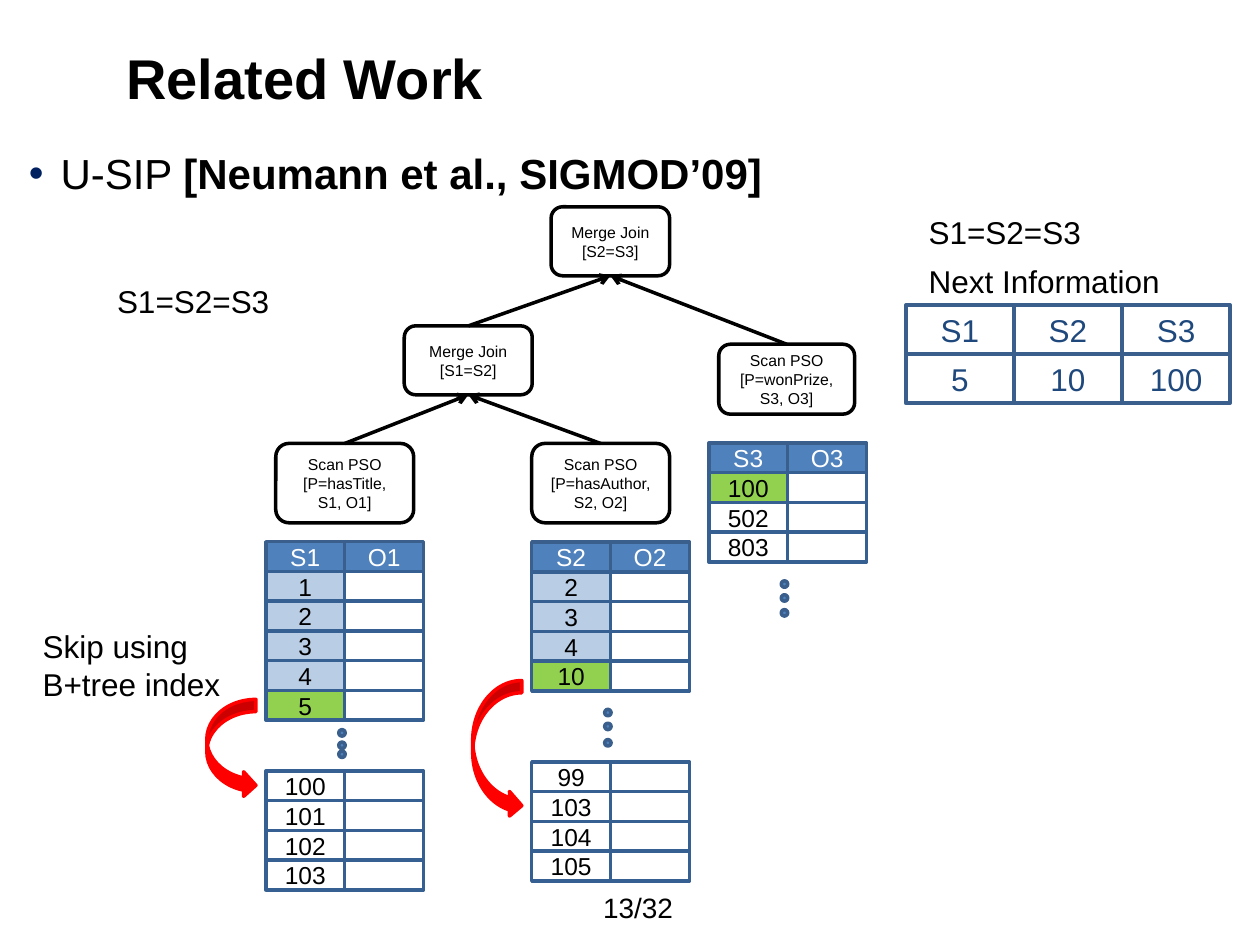
import pptx
import pptx.dml.color
import pptx.enum.shapes
import pptx.enum.text
import pptx.oxml.ns
import pptx.util
from lxml import etree

Cm = pptx.util.Cm
Pt = pptx.util.Pt
SHAPE = pptx.enum.shapes.MSO_SHAPE
ALIGN = pptx.enum.text.PP_ALIGN
ANCHOR = pptx.enum.text.MSO_ANCHOR
qn = pptx.oxml.ns.qn

COLORS = {
    "text": "000000",
    "white": "FFFFFF",
    "bullet": "002060",
    "header": "4F81BD",
    "header_line": "3A5F8C",
    "cell_line": "376092",
    "info_text": "1F497D",
    "scanned": "B9CDE5",
    "current": "92D050",
    "skip": "FF0000",
}


def rgb(name):
    return pptx.dml.color.RGBColor.from_string(COLORS[name])


class SlideBuilder:
    font = "Arial"
    line_width = Pt(2)

    def __init__(self, s):
        self.s = s

    def run(self, p, text, size, color="text", bold=False):
        r = p.add_run()
        r.text = text
        r.font.name = self.font
        r.font.size = Pt(size)
        r.font.bold = bold
        r.font.color.rgb = rgb(color)

    def place(self, sp, left, top, width, height):
        sp.left, sp.top = Cm(left), Cm(top)
        sp.width, sp.height = Cm(width), Cm(height)

    def no_margins(self, tf):
        tf.margin_left = tf.margin_right = tf.margin_top = tf.margin_bottom = 0

    def title(self, text, box):
        sp = self.s.shapes.title
        self.place(sp, *box)
        tf = sp.text_frame
        tf.vertical_anchor = ANCHOR.MIDDLE
        p = tf.paragraphs[0]
        p.alignment = ALIGN.LEFT
        self.run(p, text, 32, bold=True)

    def bullet(self, runs, box):
        sp = self.s.placeholders[1]
        self.place(sp, *box)
        tf = sp.text_frame
        self.no_margins(tf)
        p = tf.paragraphs[0]
        p.space_before = Pt(0)
        pPr = p._p.get_or_add_pPr()
        pPr.set("marL", str(Cm(0.64)))
        pPr.set("indent", str(-Cm(0.64)))
        clr = etree.SubElement(pPr, qn("a:buClr"))
        etree.SubElement(clr, qn("a:srgbClr"), val=COLORS["bullet"])
        etree.SubElement(pPr, qn("a:buChar"), char="•")
        for text, bold in runs:
            self.run(p, text, 24, bold=bold)

    def label(self, text, box, size=18, wrap=True, anchor=ANCHOR.TOP):
        sp = self.s.shapes.add_textbox(*map(Cm, box))
        tf = sp.text_frame
        tf.word_wrap = wrap
        tf.vertical_anchor = anchor
        self.run(tf.paragraphs[0], text, size)

    def shape(self, kind, box, fill, line):
        sp = self.s.shapes.add_shape(kind, *map(Cm, box))
        sp.shadow.inherit = False
        if fill:
            sp.fill.solid()
            sp.fill.fore_color.rgb = rgb(fill)
        else:
            sp.fill.background()
        sp.line.color.rgb = rgb(line)
        sp.line.width = self.line_width
        return sp

    def centred_text(self, sp, lines, size, color="text"):
        tf = sp.text_frame
        tf.word_wrap = True
        tf.vertical_anchor = ANCHOR.MIDDLE
        for i, text in enumerate(lines):
            p = tf.add_paragraph() if i else tf.paragraphs[0]
            p.alignment = ALIGN.CENTER
            self.run(p, text, size, color)

    def operator(self, lines, box):
        sp = self.shape(SHAPE.ROUNDED_RECTANGLE, box, "white", "text")
        self.centred_text(sp, lines, 9)
        return sp

    def cell(self, text, box, fill, line, size, color):
        sp = self.shape(SHAPE.RECTANGLE, box, fill, line)
        if text:
            self.no_margins(sp.text_frame)
            self.centred_text(sp, [text], size, color)

    def relation(self, left, top, rows, header=None):
        width, height = 1.59, 0.6
        if header:
            for col, name in enumerate(header):
                box = (left + col * width, top, width, height)
                self.cell(name, box, "header", "header_line", 14, "white")
            top += height
        for row, (value, fill) in enumerate(rows):
            y = top + row * height
            self.cell("", (left + width, y, width, height), "white", "cell_line", 14, "text")
            self.cell(value, (left, y, width, height), fill, "cell_line", 14, "text")

    def info_grid(self, left, top, rows):
        width, height = 2.18, 0.99
        for row, values in enumerate(rows):
            for col, value in enumerate(values):
                box = (left + col * width, top + row * height, width, height)
                self.cell(value, box, None, "header_line", 18, "info_text")

    def dots(self, left, tops):
        for top in tops:
            self.shape(SHAPE.OVAL, (left, top, 0.13, 0.13), "header", "header_line")

    def skip_arrow(self, box):
        self.shape(SHAPE.CURVED_RIGHT_ARROW, box, "skip", "skip")

    def arrow(self, child, parent):
        sp = self.s.shapes.add_connector(pptx.enum.shapes.MSO_CONNECTOR.STRAIGHT, 0, 0, 0, 0)
        sp.begin_connect(child, 0)
        sp.end_connect(parent, 2)
        sp.line.color.rgb = rgb("text")
        sp.line.width = self.line_width
        spPr = sp._element.spPr
        etree.SubElement(spPr.find(qn("a:ln")), qn("a:tailEnd"), type="arrow")
        etree.SubElement(spPr, qn("a:effectLst"))


def main():
    prs = pptx.Presentation()
    prs.slide_width, prs.slide_height = Cm(25.4), Cm(19.05)
    b = SlideBuilder(prs.slides.add_slide(prs.slide_layouts[1]))

    b.title("Related Work", (2.29, 0.74, 21.06, 1.63))
    b.bullet([("U-SIP ", False), ("[Neumann et al., SIGMOD’09]", True)],
             (0.58, 2.97, 24.21, 13.89))

    scan2 = b.operator(["Scan PSO", "[P=hasAuthor, S2, O2]"], (10.72, 8.94, 2.78, 1.6))
    scan1 = b.operator(["Scan PSO", "[P=hasTitle, S1, O1]"], (5.56, 8.94, 2.78, 1.6))
    scan3 = b.operator(["Scan PSO", "[P=wonPrize,", "S3, O3]"], (14.49, 6.94, 2.74, 1.41))
    join12 = b.operator(["Merge Join", "[S1=S2]"], (8.15, 6.57, 2.58, 1.39))
    join23 = b.operator(["Merge Join", "[S2=S3]"], (11.11, 4.17, 2.39, 1.39))
    for child, parent in ((scan2, join12), (scan1, join12), (join12, join23), (scan3, join23)):
        b.arrow(child, parent)

    b.relation(5.36, 10.92, [(v, "scanned") for v in "1234"] + [("5", "current")], ("S1", "O1"))
    b.relation(5.36, 15.54, [(v, "white") for v in ("100", "101", "102", "103")])
    b.relation(10.72, 10.93, [(v, "scanned") for v in "234"] + [("10", "current")], ("S2", "O2"))
    b.relation(10.72, 15.36, [(v, "white") for v in ("99", "103", "104", "105")])
    b.relation(14.29, 8.93, [("100", "current"), ("502", "white"), ("803", "white")], ("S3", "O3"))

    b.dots(6.83, (14.71, 14.96, 15.14))
    b.dots(12.19, (14.3, 14.58, 14.91))
    b.dots(15.75, (11.71, 11.99, 12.29))

    b.info_grid(18.26, 6.15, [("S1", "S2", "S3"), ("5", "10", "100")])
    b.skip_arrow((4.17, 14.1, 0.99, 1.98))
    b.skip_arrow((9.53, 13.72, 0.99, 2.77))

    b.label("Next Information", (18.47, 5.16, 5.94, 1.02))
    b.label("S1=S2=S3", (18.47, 4.17, 3.96, 1.02))
    b.label("Skip using B+tree index", (0.61, 12.52, 4.57, 1.8))
    b.label("S1=S2=S3", (2.11, 5.56, 3.61, 1.02), wrap=False)
    b.label("13/32", (11.91, 17.93, 2.18, 0.74), size=16, anchor=ANCHOR.MIDDLE)

    prs.save("out.pptx")


if __name__ == "__main__":
    main()
